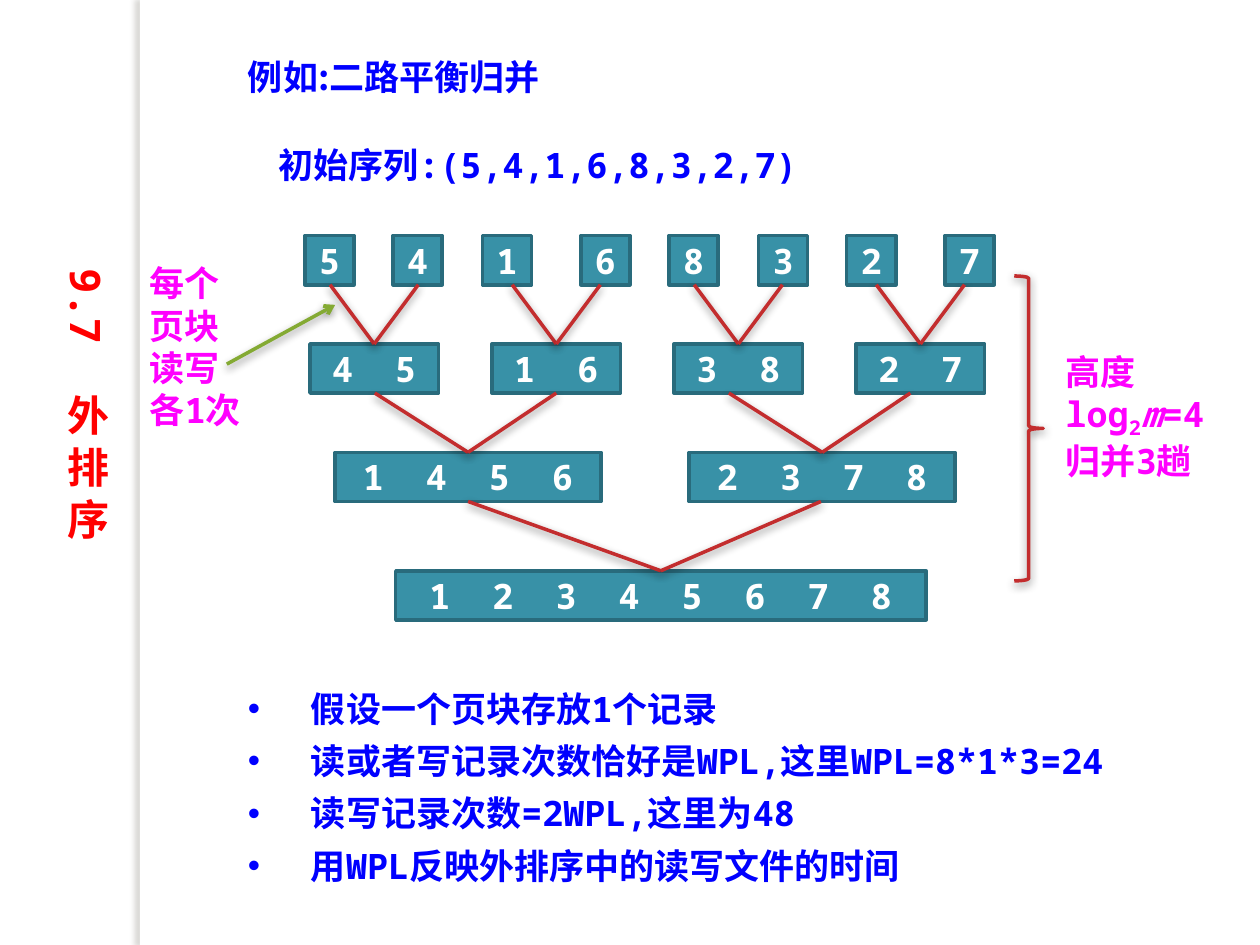
from lxml import etree
from pptx import Presentation
from pptx.dml.color import RGBColor
from pptx.enum.shapes import MSO_CONNECTOR, MSO_SHAPE
from pptx.enum.text import MSO_ANCHOR, PP_ALIGN
from pptx.oxml.ns import qn
from pptx.util import Inches, Pt

RECT, BRACE = MSO_SHAPE.RECTANGLE, MSO_SHAPE.RIGHT_BRACE
STRAIGHT = MSO_CONNECTOR.STRAIGHT
CENTER, MIDDLE, TOP = PP_ALIGN.CENTER, MSO_ANCHOR.MIDDLE, MSO_ANCHOR.TOP

CJK, MONO = "Noto Sans CJK SC", "Noto Sans Mono"
BLUE, RED, PINK, WHITE = "0000FF", "FF0000", "FF00FF", "FFFFFF"
TEAL, TEAL_EDGE, BRANCH, GREEN = "3891A7", "296B7C", "C32D2E", "84AA33"
LINE_SHADOW = ("000000", 43, 5, 2, 90)
EDGE_SHADOW = ("736F63", 25, 3, 3, 180)

HEADING = "例如:二路平衡归并".replace(":", ":")
SEQUENCE = [5, 4, 1, 6, 8, 3, 2, 7]
LEAF_LEFTS = [2.42, 3.12, 3.83, 4.61, 5.31, 6.02, 6.72, 7.5]
LEAF_TOP, BOX_H = 1.87, 0.39
MERGES = [
    dict(top=2.73, left=2.46, step=1.445, width=1.02, spread=0.35, shift=0),
    dict(top=3.59, left=2.66, step=2.81, width=2.11, spread=0.72, shift=-0.02),
    dict(top=4.53, left=3.14, step=0, width=4.21, spread=1.4, shift=-0.13),
]
PAGE_NOTE = "每个页块读写各1次"
HEIGHT_NOTE = ["高度", "log2m=4", "归并3趟"]
BULLETS = [
    "假设一个页块存放1个记录",
    "读或者写记录次数恰好是WPL,这里WPL=8*1*3=24",
    "读写记录次数=2WPL,这里为48",
    "用WPL反映外排序中的读写文件的时间",
]
SECTION = "9.7  外 排 序"

prs = Presentation()
prs.slide_width, prs.slide_height = Inches(10), Inches(7.5)
slide = prs.slides.add_slide(prs.slide_layouts[6])


def rgb(color):
    return RGBColor.from_string(color)


def add_shadow(s, color, alpha, blur, dist, angle):
    pr = s._element.spPr
    effects = pr.find(qn("a:effectLst"))
    if effects is None:
        effects = etree.SubElement(pr, qn("a:effectLst"))
    shadow = etree.SubElement(
        effects, qn("a:outerShdw"), blurRad=str(Pt(blur)), dist=str(Pt(dist)),
        dir=str(angle * 60000), algn="ctr", rotWithShape="0")
    clr = etree.SubElement(shadow, qn("a:srgbClr"), val=color)
    etree.SubElement(clr, qn("a:alpha"), val=str(alpha * 1000))


def set_line(s, color):
    s.line.color.rgb = rgb(color)
    s.line.width = Pt(2)


def format_run(r, color, size=20, font=MONO):
    r.font.size, r.font.bold, r.font.name = Pt(size), True, font
    r.font.color.rgb = rgb(color)
    latin = r._r.rPr.find(qn("a:latin"))
    latin.addnext(latin.makeelement(qn("a:ea"), {"typeface": CJK}))


def add_shape(kind, at, fill=None, line=None):
    s = slide.shapes.add_shape(kind, *map(Inches, at))
    s.shadow.inherit = False
    if fill:
        s.fill.solid()
        s.fill.fore_color.rgb = rgb(fill)
    else:
        s.fill.background()
    if line:
        set_line(s, line)
    else:
        s.line.fill.background()
    return s


def add_box(left, top, width, numbers):
    s = add_shape(RECT, (left, top, width, BOX_H), TEAL, TEAL_EDGE)
    tf = s.text_frame
    tf.text = "  ".join(map(str, numbers))
    tf.vertical_anchor = MIDDLE
    tf.paragraphs[0].alignment = CENTER
    format_run(tf.paragraphs[0].runs[0], WHITE)


def add_line(start, end, color):
    s = slide.shapes.add_connector(STRAIGHT, *map(Inches, start + end))
    set_line(s, color)
    add_shadow(s, *LINE_SHADOW)
    return s


def add_text(at, lines, color, size=20, font=MONO):
    tf = slide.shapes.add_textbox(*map(Inches, at)).text_frame
    tf.word_wrap = True
    tf.vertical_anchor = TOP
    tf.text = "\n".join(lines)
    for p in tf.paragraphs:
        for r in p.runs:
            format_run(r, color, size, font)
    return tf


edge = add_shape(RECT, (1.11, 0, 0.08, 7.5), WHITE)
add_shadow(edge, *EDGE_SHADOW)

add_text((1.87, 0.39, 3.13, 0.44), [HEADING], BLUE, font=CJK)
add_text((2.11, 1.09, 7.11, 0.44),
         ["初始序列:(" + ",".join(map(str, SEQUENCE)) + ")"], BLUE)

for left, number in zip(LEAF_LEFTS, SEQUENCE):
    add_box(left, LEAF_TOP, BOX_H, [number])

child_bottom, size = LEAF_TOP + BOX_H, 1
for row in MERGES:
    size *= 2
    for i in range(len(SEQUENCE) // size):
        left = row["left"] + i * row["step"]
        mid = left + row["width"] / 2
        add_box(left, row["top"], row["width"],
                sorted(SEQUENCE[i * size:(i + 1) * size]))
        for side in (-1, 1):
            foot = mid + row["shift"] + side * row["spread"]
            add_line((foot, child_bottom), (mid, row["top"]), BRANCH)
    child_bottom = row["top"] + BOX_H

brace = add_shape(BRACE, (8.05, 2.19, 0.23, 2.42), line=BRANCH)
add_shadow(brace, *LINE_SHADOW)
tf = add_text((8.36, 2.73, 1.33, 1.11), HEIGHT_NOTE, PINK)
p = tf.paragraphs[1]
p.text = ""
for part in ("log", "2", "m", "=4"):
    r = p.add_run()
    r.text = part
    format_run(r, PINK)
    r.font.italic = part == "m"
    if part == "2":
        r._r.rPr.set("baseline", "-25000")

add_text((1.09, 2.03, 0.94, 1.45), [PAGE_NOTE], PINK)
arrow = add_line((1.8, 2.89), (2.66, 2.42), GREEN)
etree.SubElement(arrow.line._get_or_add_ln(), qn("a:tailEnd"), type="arrow")

tf = add_text((1.87, 5.32, 7.27, 1.78), BULLETS, BLUE)
for p in tf.paragraphs:
    p.line_spacing = Pt(30)
    pr = p._p.get_or_add_pPr()
    pr.set("marL", str(Inches(0.5)))
    pr.set("indent", str(Inches(-0.5)))
    etree.SubElement(pr, qn("a:buFont"), typeface="Arial")
    etree.SubElement(pr, qn("a:buChar"), char="•")

tf = add_text((0.33, 2.03, 0.61, 3.2), [SECTION], RED, size=24)
tf.paragraphs[0].alignment = CENTER
tf._txBody.bodyPr.set("vert", "eaVert")

prs.save("out.pptx")
